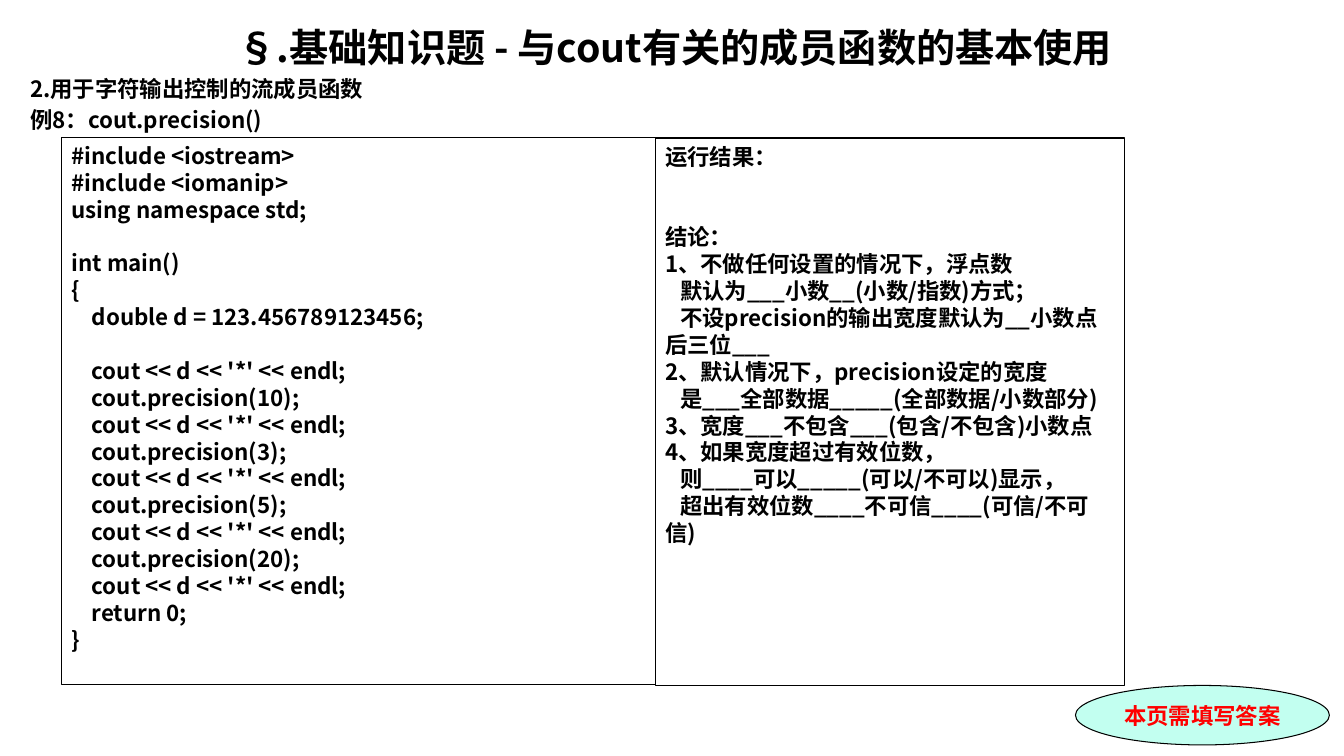
import dataclasses

import lxml.etree
import pptx
import pptx.dml.color
import pptx.enum.shapes
import pptx.enum.text
import pptx.oxml.ns
import pptx.util

Pt = pptx.util.Pt
SHAPES = pptx.enum.shapes.MSO_SHAPE
ALIGN = pptx.enum.text.PP_ALIGN
ANCHOR = pptx.enum.text.MSO_ANCHOR


@dataclasses.dataclass(frozen=True)
class Theme:
    font: str = "Noto Sans CJK SC"
    badge_font: str = "Times New Roman"
    ink: str = "000000"
    alert: str = "FF0000"
    mint: str = "C2FFF0"
    title_size: float = 28
    text_size: float = 16
    leading: float = 1.2
    heading_gap: float = 3.2
    border: float = 0.75


THEME = Theme()

TITLE = "§.基础知识题 - 与cout有关的成员函数的基本使用"
HEADINGS = ["2.用于字符输出控制的流成员函数", "例8：cout.precision()"]

CODE = """#include <iostream>
#include <iomanip>
using namespace std;

int main()
{
    double d = 123.456789123456;

    cout << d << '*' << endl;
    cout.precision(10);
    cout << d << '*' << endl;
    cout.precision(3);
    cout << d << '*' << endl;
    cout.precision(5);
    cout << d << '*' << endl;
    cout.precision(20);
    cout << d << '*' << endl;
    return 0;
}"""

RESULT_LABEL = "运行结果："
CONCLUSION_LABEL = "结论："
CONCLUSIONS = [
    ("1、不做任何设置的情况下，浮点数",
     "默认为___小数__(小数/指数)方式；",
     "不设precision的输出宽度默认为__小数点后三位___"),
    ("2、默认情况下，precision设定的宽度",
     "是___全部数据_____(全部数据/小数部分)"),
    ("3、宽度___不包含___(包含/不包含)小数点",),
    ("4、如果宽度超过有效位数，",
     "则____可以_____(可以/不可以)显示，",
     "超出有效位数____不可信____(可信/不可信)"),
]
BADGE = "本页需填写答案"


def rgb(code):
    return pptx.dml.color.RGBColor.from_string(code)


def add_line(frame, text, size=THEME.text_size, color=THEME.ink, font=THEME.font,
             align=ALIGN.LEFT, gap=0, indent=0):
    first = frame.paragraphs[0]
    paragraph = frame.add_paragraph() if first.runs else first
    properties = paragraph._p.get_or_add_pPr()
    properties.set("marL", "0")
    properties.set("indent", str(Pt(indent)))
    lxml.etree.SubElement(properties, pptx.oxml.ns.qn("a:buNone"))
    paragraph.alignment = align
    paragraph.line_spacing = Pt(size * THEME.leading)
    paragraph.space_before = Pt(gap)
    run = paragraph.add_run()
    run.text = text
    run.font.size = Pt(size)
    run.font.bold = True
    run.font.color.rgb = rgb(color)
    run.font.name = font
    east_asian = lxml.etree.Element(pptx.oxml.ns.qn("a:ea"), typeface=THEME.font)
    run.font._element.find(pptx.oxml.ns.qn("a:latin")).addnext(east_asian)


def prepare_frame(shape, anchor=ANCHOR.TOP):
    frame = shape.text_frame
    frame.word_wrap = True
    frame.auto_size = pptx.enum.text.MSO_AUTO_SIZE.NONE
    frame.vertical_anchor = anchor
    return frame


def place_heading(placeholder, top, height):
    placeholder.left, placeholder.top = Pt(14.4), Pt(top)
    placeholder.width, placeholder.height = Pt(935.3), Pt(height)
    return prepare_frame(placeholder)


def add_outlined(slide, kind, left, top, width, height, fill=None, anchor=ANCHOR.TOP):
    outlined = slide.shapes.add_shape(kind, Pt(left), Pt(top), Pt(width), Pt(height))
    outlined.shadow.inherit = False
    if fill:
        outlined.fill.solid()
        outlined.fill.fore_color.rgb = rgb(fill)
    else:
        outlined.fill.background()
    outlined.line.color.rgb = rgb(THEME.ink)
    outlined.line.width = Pt(THEME.border)
    return prepare_frame(outlined, anchor)


def add_code(frame, code):
    for block_index, block in enumerate(code.split("\n\n")):
        for line_index, line in enumerate(block.split("\n")):
            starts_block = block_index > 0 and line_index == 0
            gap = THEME.text_size * THEME.leading if starts_block else 0
            add_line(frame, line, gap=gap)


def add_conclusions(frame):
    add_line(frame, RESULT_LABEL)
    add_line(frame, CONCLUSION_LABEL, gap=2 * THEME.text_size * THEME.leading)
    for statement, *details in CONCLUSIONS:
        add_line(frame, statement)
        for detail in details:
            add_line(frame, detail, indent=10.8)


def main():
    deck = pptx.Presentation()
    deck.slide_width, deck.slide_height = Pt(960), Pt(540)
    slide = deck.slides.add_slide(deck.slide_layouts[1])

    title = place_heading(slide.shapes.title, 13, 37)
    add_line(title, TITLE, size=THEME.title_size, align=ALIGN.CENTER)
    headings = place_heading(slide.placeholders[1], 49.8, 48)
    for index, heading in enumerate(HEADINGS):
        add_line(headings, heading, gap=THEME.heading_gap if index else 0)

    add_code(add_outlined(slide, SHAPES.RECTANGLE, 44, 98, 424, 391), CODE)
    badge = add_outlined(slide, SHAPES.OVAL, 768.2, 489.6, 181.4, 42.5,
                         THEME.mint, ANCHOR.MIDDLE)
    add_line(badge, BADGE, color=THEME.alert, font=THEME.badge_font, align=ALIGN.CENTER)
    add_conclusions(add_outlined(slide, SHAPES.RECTANGLE, 468, 98.6, 335.5, 391))

    deck.save("out.pptx")


if __name__ == "__main__":
    main()
